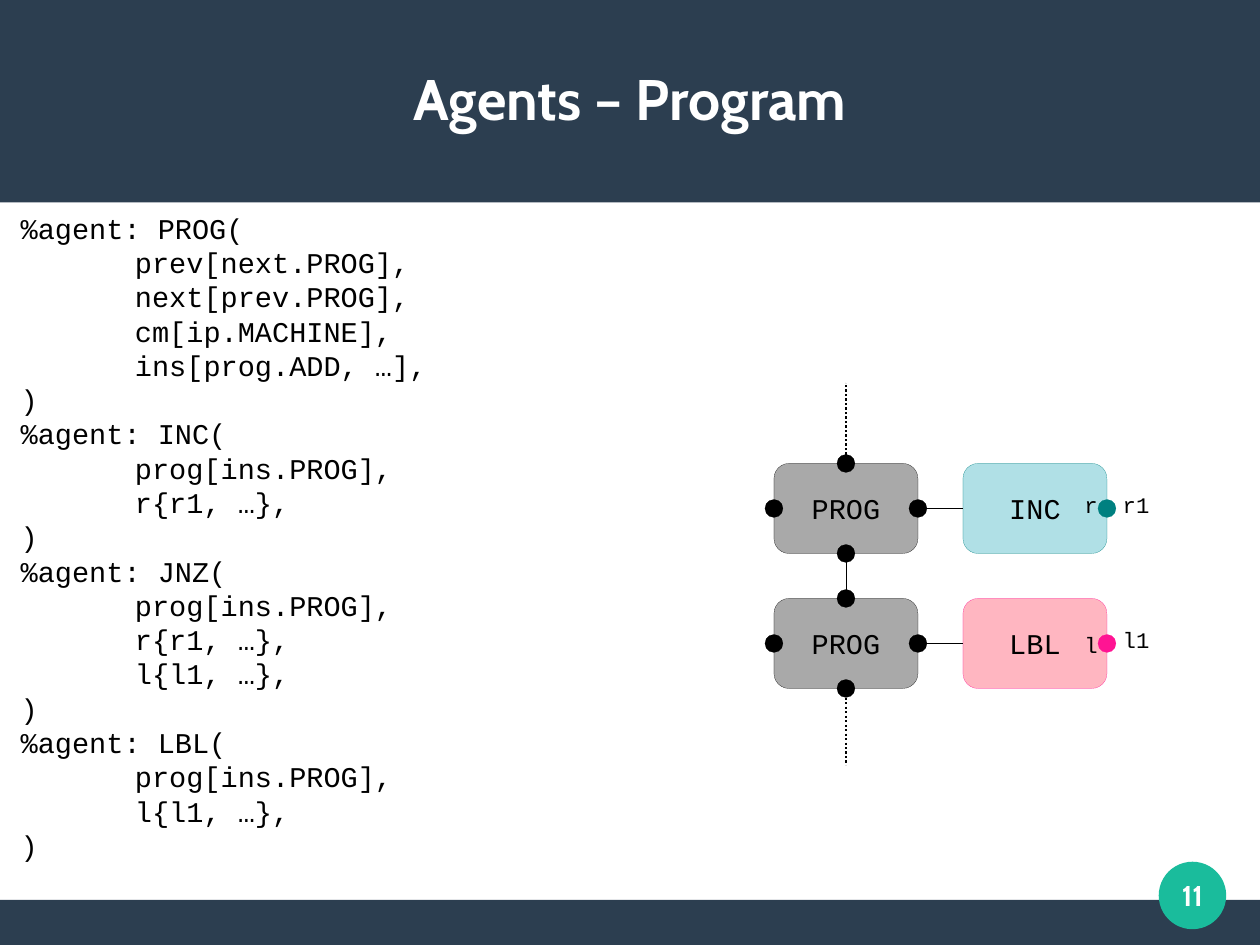
import pptx
import pptx.dml.color
import pptx.enum.dml
import pptx.enum.shapes
import pptx.enum.text
import pptx.oxml
import pptx.oxml.ns
import pptx.util

# Lengths are columns and rows of a one-centimetre grid.
WIDTH, HEIGHT = 28, 21
NAVY, TEAL, BLACK, WHITE = "2C3E50", "1ABC9C", "000000", "FFFFFF"
CODE_FONT, HEADING_FONT = "Courier New", "Cabin"
NODE_WIDTH, NODE_HEIGHT, PORT = 3.2, 2, 0.4
COLUMN_STEP, ROW_STEP = 4.2, 3
HAIRLINE = 0.1
CODE_INDENT = 2.54
TOP, LEFT, BOTTOM, RIGHT = range(4)

SHAPES = pptx.enum.shapes.MSO_SHAPE
ALIGN = pptx.enum.text.PP_ALIGN
ANCHOR = pptx.enum.text.MSO_ANCHOR

AGENTS = [
    ("PROG", ["prev[next.PROG]", "next[prev.PROG]", "cm[ip.MACHINE]", "ins[prog.ADD, …]"]),
    ("INC", ["prog[ins.PROG]", "r{r1, …}"]),
    ("JNZ", ["prog[ins.PROG]", "r{r1, …}", "l{l1, …}"]),
    ("LBL", ["prog[ins.PROG]", "l{l1, …}"]),
]

# name, fill, accent, site label, site label offset, state label
INSTRUCTIONS = [
    ("INC", "B0E0E6", "008080", "r", -0.38, "r1"),
    ("LBL", "FFB6C1", "FF1493", "l", -0.28, "l1"),
]


def grid(*lengths):
    return [pptx.util.Cm(length) for length in lengths]


def colour(hex_string):
    return pptx.dml.color.RGBColor.from_string(hex_string)


def write(shape, text, size, font, hex_string, align=ALIGN.LEFT, bold=False,
          anchor=ANCHOR.TOP, wrap=True):
    """Fill the shape with text that has no inner margins."""
    frame = shape.text_frame
    frame.text = text
    frame.word_wrap = wrap
    frame.auto_size = pptx.enum.text.MSO_AUTO_SIZE.NONE
    frame.vertical_anchor = anchor
    frame.margin_left = frame.margin_right = frame.margin_top = frame.margin_bottom = 0
    for para in frame.paragraphs:
        para.alignment = align
        for span in para.runs:
            span.font.size = pptx.util.Pt(size)
            span.font.name = font
            span.font.bold = bold
            span.font.color.rgb = colour(hex_string)


def add_label(page, box, text, size, wrap=True):
    label = page.shapes.add_textbox(*grid(*box))
    write(label, text, size, CODE_FONT, BLACK, wrap=wrap)
    return label


def add_block(page, kind, box, fill, line=None):
    block = page.shapes.add_shape(kind, *grid(*box))
    block.shadow.inherit = False
    block.fill.solid()
    block.fill.fore_color.rgb = colour(fill)
    if line:
        block.line.color.rgb = colour(line)
        block.line.width = pptx.util.Pt(HAIRLINE)
    else:
        block.line.fill.background()
    return block


def add_wire(page, start=(0, 0), end=(0, 0), width=HAIRLINE):
    wire = page.shapes.add_connector(
        pptx.enum.shapes.MSO_CONNECTOR.STRAIGHT, *grid(*start, *end))
    wire.line.color.rgb = colour(BLACK)
    wire.line.width = pptx.util.Pt(width)
    properties = wire.element.find(pptx.oxml.ns.qn("p:spPr"))
    properties.append(pptx.oxml.parse_xml(
        "<a:effectLst %s/>" % pptx.oxml.ns.nsdecls("a")))
    return wire


def join(page, start_node, start_side, end_node, end_side):
    wire = add_wire(page)
    wire.begin_connect(start_node, start_side)
    wire.end_connect(end_node, end_side)


def add_port(page, x, y, hex_string):
    """Draw a round site centred on the point."""
    box = (x - PORT / 2, y - PORT / 2, PORT, PORT)
    add_block(page, SHAPES.OVAL, box, hex_string, hex_string)


def add_node(page, box, name, fill, line):
    node = add_block(page, SHAPES.ROUNDED_RECTANGLE, box, fill, line)
    write(node, name, 18, CODE_FONT, BLACK, ALIGN.CENTER,
          anchor=ANCHOR.MIDDLE, wrap=False)
    return node


def add_header(page, box, text):
    left, top, width, height = box
    add_block(page, SHAPES.RECTANGLE, box, NAVY)
    title = page.shapes.title
    title.left, title.top, title.width, title.height = grid(
        left + 1, top + 0.84, width - 2, 2.67)
    write(title, text, 36, HEADING_FONT, WHITE, ALIGN.CENTER, True, ANCHOR.MIDDLE)
    page.shapes.element.append(title.element)  # bring in front of the band


def add_footer(page, box, number):
    left, top, width, height = box
    add_block(page, SHAPES.RECTANGLE, box, NAVY)
    badge = add_block(page, SHAPES.OVAL,
                      (left + width - 2.25, top - 0.85, 1.5, 1.5), TEAL)
    write(badge, number, 18, HEADING_FONT, WHITE, ALIGN.CENTER, True,
          ANCHOR.MIDDLE, wrap=False)


def add_code(page, box):
    lines = []
    for name, sites in AGENTS:
        lines += [f"%agent: {name}("] + [f"{site}," for site in sites] + [")"]
    code = add_label(page, box, "\n".join(lines), 18)
    for para in code.text_frame.paragraphs:
        if para.text.endswith(","):
            properties = para._p.get_or_add_pPr()
            properties.set("marL", str(pptx.util.Cm(CODE_INDENT)))


def add_diagram(page, box):
    """Draw the program chain on the left and its instructions on the right."""
    left, top, width, height = box
    first_row = top + 1.8
    centre = left + NODE_WIDTH / 2
    programs = []
    for row, (name, fill, accent, site, offset, state) in enumerate(INSTRUCTIONS):
        y = first_row + row * ROW_STEP
        middle = y + NODE_HEIGHT / 2
        column = left + COLUMN_STEP
        program = add_node(page, (left, y, NODE_WIDTH, NODE_HEIGHT),
                           "PROG", "A9A9A9", BLACK)
        instruction = add_node(page, (column, y, NODE_WIDTH, NODE_HEIGHT),
                               name, fill, accent)
        join(page, program, RIGHT, instruction, LEFT)
        if programs:
            join(page, program, TOP, programs[-1], BOTTOM)
        programs.append(program)

        edge = column + NODE_WIDTH
        add_label(page, (edge - 0.5, middle + offset, 0.3, 0.6), site, 14, wrap=False)
        add_label(page, (edge + 0.35, middle - 0.38, 1.1, 0.6), state, 14)
        add_port(page, edge, middle, accent)
        for x, port_y in [(left, middle), (left + NODE_WIDTH, middle),
                          (centre, y), (centre, y + NODE_HEIGHT)]:
            add_port(page, x, port_y, BLACK)

    last_edge = first_row + ROW_STEP + NODE_HEIGHT
    for start, end in [(first_row - PORT / 2, top), (last_edge + PORT / 2, top + height)]:
        chain = add_wire(page, (centre, start), (centre, end), 1.42)
        chain.line.dash_style = pptx.enum.dml.MSO_LINE.ROUND_DOT


def main():
    deck = pptx.Presentation()
    deck.slide_width, deck.slide_height = grid(WIDTH, HEIGHT)
    page = deck.slides.add_slide(deck.slide_layouts.get_by_name("Title Only"))
    add_footer(page, (0, HEIGHT - 1, WIDTH, 1), "11")
    add_header(page, (0, 0, WIDTH, 4.5), "Agents – Program")
    add_code(page, (0.46, 4.68, 13.5, 15.2))
    add_diagram(page, (17.2, 8.5, 9.5, 8.5))
    deck.save("out.pptx")


if __name__ == "__main__":
    main()
